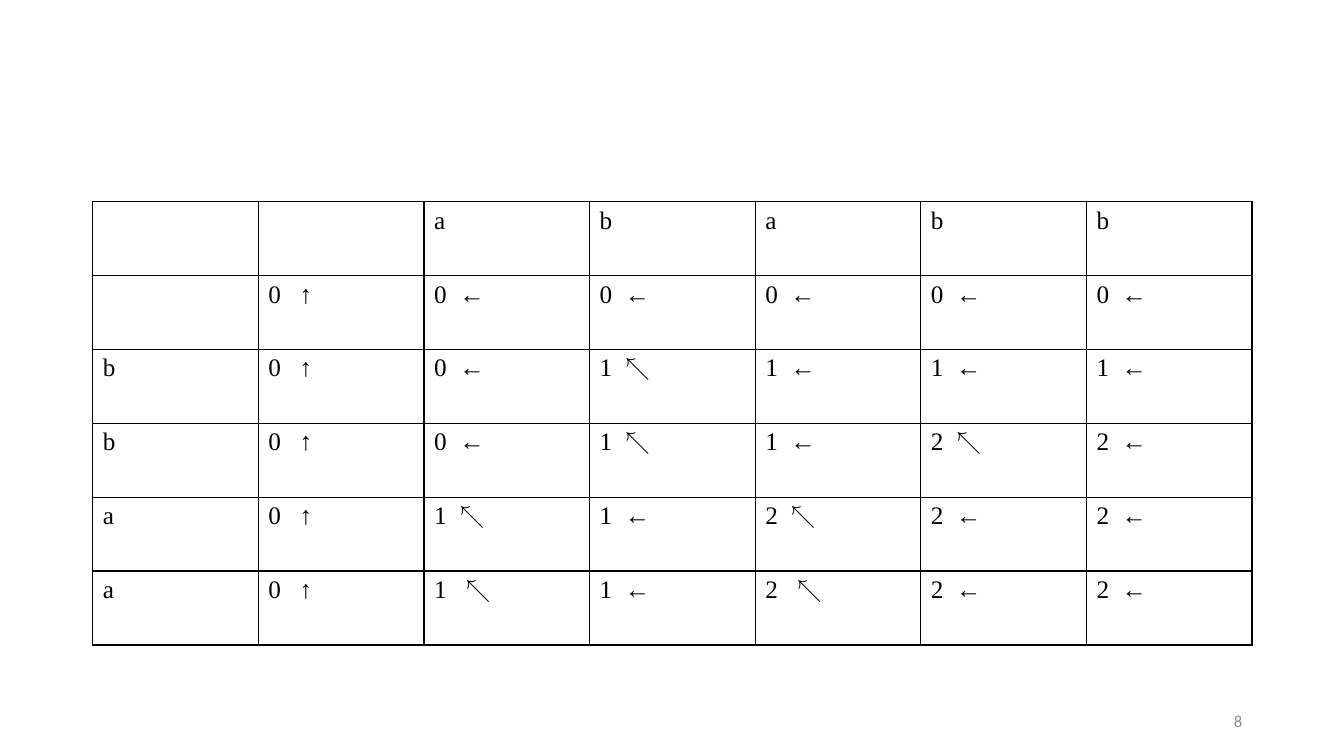
from lxml.etree import SubElement
from pptx import Presentation
from pptx.dml.color import RGBColor
from pptx.enum.text import MSO_ANCHOR, PP_ALIGN
from pptx.oxml.ns import qn
from pptx.util import Inches, Pt

ROWS = [
    ["", "", "a", "b", "a", "b", "b"],
    ["", "0 ↑", "0 ←", "0 ←", "0 ←", "0 ←", "0 ←"],
    ["b", "0 ↑", "0 ←", "1 ↖", "1 ←", "1 ←", "1 ←"],
    ["b", "0 ↑", "0 ←", "1 ↖", "1 ←", "2 ↖", "2 ←"],
    ["a", "0 ↑", "1 ↖", "1 ←", "2 ↖", "2 ←", "2 ←"],
    ["a", "0 ↑", "1 ↖", "1 ←", "2 ↖", "2 ←", "2 ←"],
]
PAGE_NUMBER = "8"

BLACK = RGBColor(0x00, 0x00, 0x00)
GRAY = RGBColor(0x8C, 0x8C, 0x8C)
NEAR_TAB, FAR_TAB = Inches(0.25), Inches(0.31)


def add_run(p, text, font, size, color):
    r = p.add_run()
    r.text = text
    r.font.name = font
    r.font.size = Pt(size)
    r.font.color.rgb = color


def add_borders(cell, color, width):
    tc_pr = cell._tc.get_or_add_tcPr()
    for side in ("lnL", "lnR", "lnT", "lnB"):
        ln = SubElement(tc_pr, qn(f"a:{side}"), w=str(width))
        fill = SubElement(ln, qn("a:solidFill"))
        SubElement(fill, qn("a:srgbClr"), val=str(color))


def add_tab_stop(p, pos):
    tabs = SubElement(p._p.get_or_add_pPr(), qn("a:tabLst"))
    SubElement(tabs, qn("a:tab"), pos=str(pos), algn="l")


def fill_cell(cell, text, tab):
    """Write a score and its arrow, set apart by a tab stop."""
    add_borders(cell, BLACK, Pt(1))
    cell.fill.background()
    if not text:
        return
    p = cell.text_frame.paragraphs[0]
    if " " in text:
        add_tab_stop(p, tab)
    add_run(p, text.replace(" ", "\t"), "Times New Roman", 18, BLACK)


def add_score_table(slide):
    shape = slide.shapes.add_table(len(ROWS), len(ROWS[0]), Inches(0.92),
                                   Inches(2), Inches(11.5), Inches(4.4))
    table = shape.table
    table.first_row = table.horz_banding = False
    last = len(ROWS) - 1
    for i, row in enumerate(ROWS):
        for j, text in enumerate(row):
            far = "↑" in text or (i == last and "↖" in text)
            fill_cell(table.cell(i, j), text, FAR_TAB if far else NEAR_TAB)


def add_page_number(slide):
    box = slide.shapes.add_textbox(Inches(9.42), Inches(6.95), Inches(3), Inches(0.4))
    tf = box.text_frame
    tf.word_wrap = True
    tf.vertical_anchor = MSO_ANCHOR.MIDDLE
    p = tf.paragraphs[0]
    p.alignment = PP_ALIGN.RIGHT
    add_run(p, PAGE_NUMBER, "Calibri", 12, GRAY)


def main():
    prs = Presentation()
    prs.slide_width, prs.slide_height = Inches(13.33), Inches(7.5)
    slide = prs.slides.add_slide(prs.slide_layouts[6])
    add_score_table(slide)
    add_page_number(slide)
    prs.save("out.pptx")


if __name__ == "__main__":
    main()
